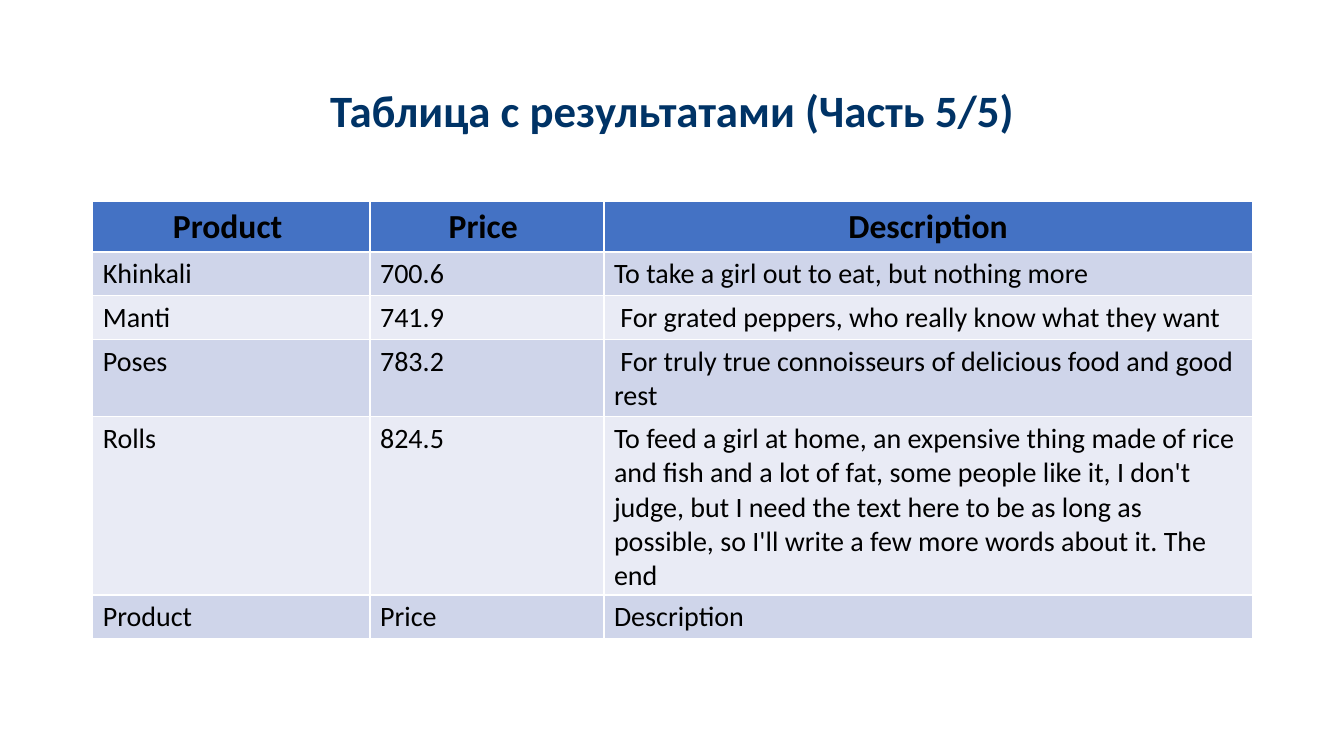
from dataclasses import dataclass
from typing import Any

from pptx import Presentation
from pptx.dml.color import RGBColor
from pptx.enum import text
from pptx.util import Inches, Pt

NAVY = RGBColor(0x00, 0x33, 0x66)
BLACK = RGBColor(0x00, 0x00, 0x00)
HEADER_BLUE = RGBColor(0x44, 0x72, 0xC4)
BAND_FILLS = (RGBColor(0xCF, 0xD5, 0xEA), RGBColor(0xE9, 0xEB, 0xF5))

LEFT, WIDTH = Inches(0.92), Inches(11.5)
ROW_HEIGHT = Inches(0.28)

TITLE_FONT = {"name": "Calibri", "size": Pt(32), "bold": True}
HEADER_FONT = {"name": "Calibri", "size": Pt(24), "bold": True}
BODY_FONT = {"name": "Calibri", "size": Pt(20), "bold": False}


@dataclass(frozen=True)
class Column:
    heading: str
    width: float


@dataclass(frozen=True)
class Dish:
    product: str
    price: str
    description: str


COLUMNS = (Column("Product ", 2.75), Column("Price ", 2.32), Column("Description", 6.43))
DISHES = (
    Dish("Khinkali", "700.6", "To take a girl out to eat, but nothing more"),
    Dish("Manti", "741.9", " For grated peppers, who really know what they want"),
    Dish("Poses", "783.2", " For truly true connoisseurs of delicious food and good rest"),
    Dish("Rolls", "824.5",
         "To feed a girl at home, an expensive thing made of rice and fish and a lot of fat, "
         "some people like it, I don't judge, but I need the text here to be as long as "
         "possible, so I'll write a few more words about it. The end"),
    Dish("Product", "Price", "Description"),
)


def write(paragraph: Any, words: str, font: dict[str, Any], color: RGBColor,
          alignment: text.PP_ALIGN) -> None:
    paragraph.alignment = alignment
    run = paragraph.add_run()
    run.text = words
    for attribute, value in font.items():
        setattr(run.font, attribute, value)
    run.font.color.rgb = color


def add_title(slide: Any, words: str) -> None:
    frame = slide.shapes.add_textbox(LEFT, Inches(0.4), WIDTH, Inches(1.45)).text_frame
    frame.word_wrap = True
    frame.vertical_anchor = text.MSO_ANCHOR.MIDDLE
    paragraph = frame.paragraphs[0]
    paragraph.line_spacing = 0.9
    write(paragraph, words, TITLE_FONT, NAVY, text.PP_ALIGN.CENTER)


def fill_row(cells: Any, words: tuple[str, ...], fill: RGBColor, font: dict[str, Any],
             alignment: text.PP_ALIGN) -> None:
    for cell, cell_words in zip(cells, words):
        cell.fill.solid()
        cell.fill.fore_color.rgb = fill
        write(cell.text_frame.paragraphs[0], cell_words, font, BLACK, alignment)


def add_dish_table(slide: Any) -> None:
    row_count = len(DISHES) + 1
    table = slide.shapes.add_table(row_count, len(COLUMNS), LEFT, Inches(2), WIDTH,
                                   ROW_HEIGHT * row_count).table
    for table_column, column in zip(table.columns, COLUMNS):
        table_column.width = Inches(column.width)
    header, *body = table.rows
    fill_row(header.cells, tuple(column.heading for column in COLUMNS), HEADER_BLUE,
             HEADER_FONT, text.PP_ALIGN.CENTER)
    for index, (row, dish) in enumerate(zip(body, DISHES)):
        fill_row(row.cells, (dish.product, dish.price, dish.description),
                 BAND_FILLS[index % 2], BODY_FONT, text.PP_ALIGN.LEFT)


def main() -> None:
    presentation = Presentation()
    presentation.slide_width = Inches(13.33)
    presentation.slide_height = Inches(7.5)
    slide = presentation.slides.add_slide(presentation.slide_layouts[6])
    add_title(slide, "Таблица с результатами (Часть 5/5)")
    add_dish_table(slide)
    presentation.save("out.pptx")


if __name__ == "__main__":
    main()
